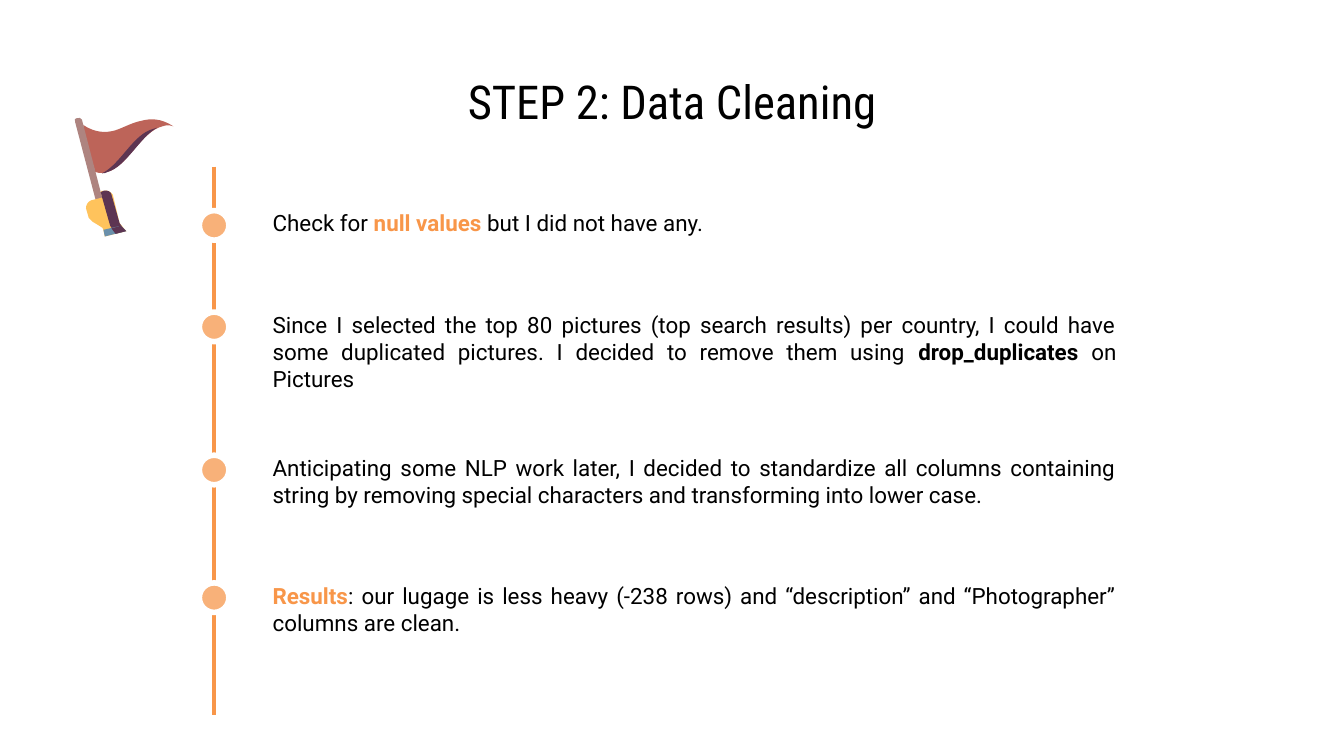
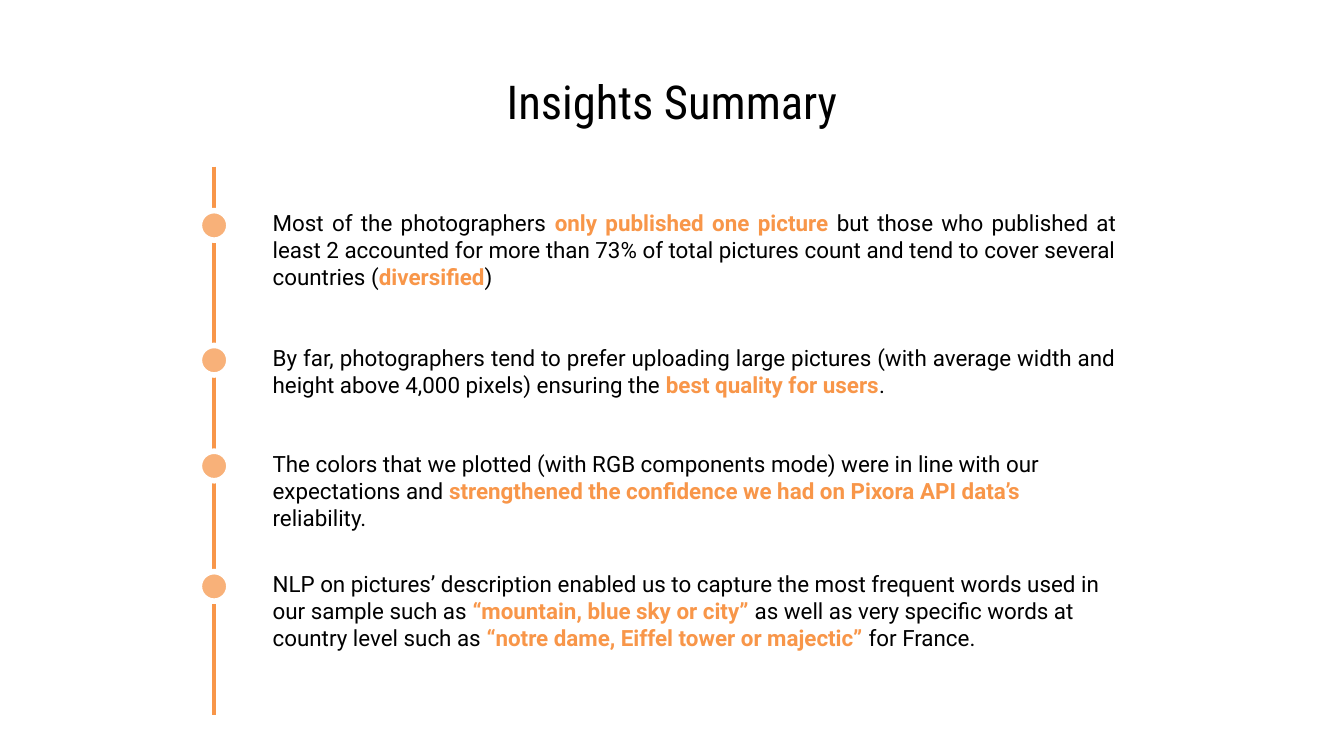
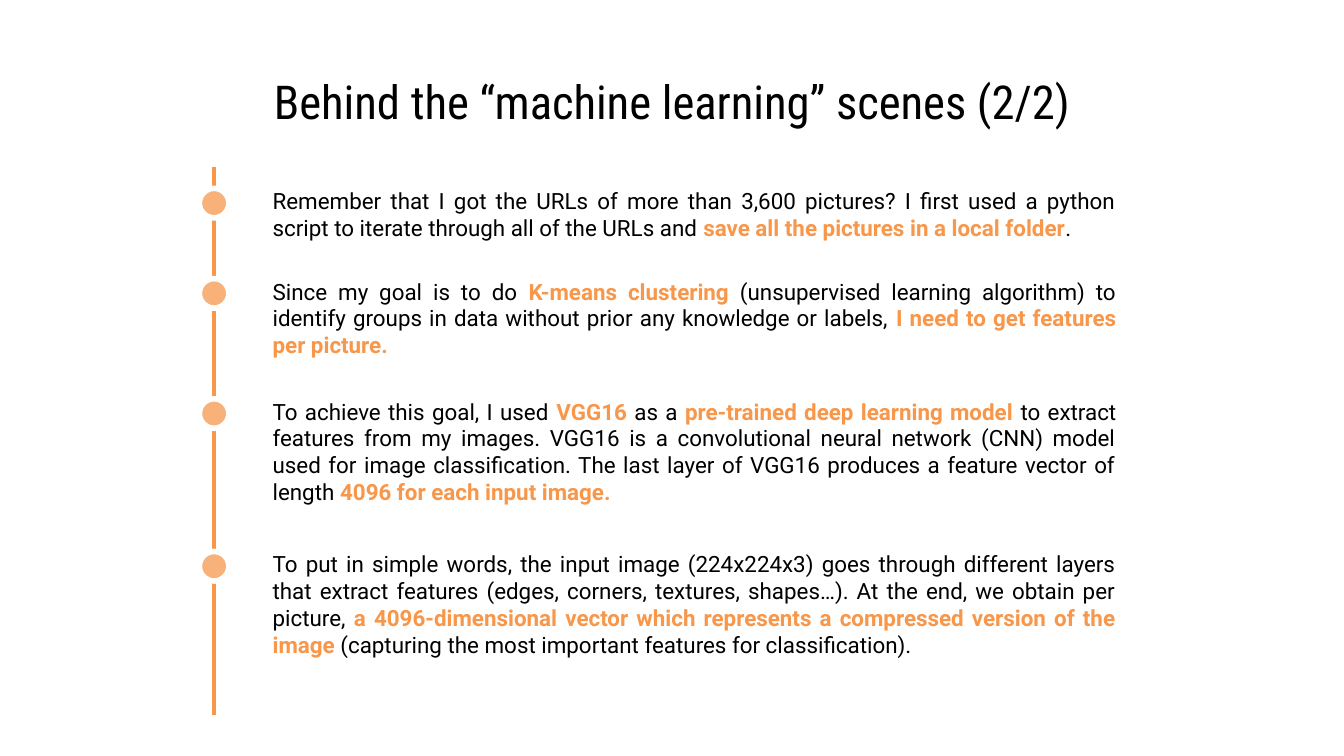
import math
from dataclasses import dataclass
from typing import NamedTuple

import lxml.etree
import pptx
import pptx.dml.color
import pptx.enum.shapes
import pptx.enum.text
import pptx.oxml.ns
import pptx.util
from pptx.dml.color import RGBColor

# Colours and fonts
BLACK = RGBColor(0x00, 0x00, 0x00)
WHITE = RGBColor(0xFF, 0xFF, 0xFF)
ORANGE = RGBColor(0xF8, 0x96, 0x49)
LIGHT_ORANGE = RGBColor(0xF8, 0xB1, 0x79)
RED = RGBColor(0xBD, 0x64, 0x59)
BROWN = RGBColor(0xAE, 0x84, 0x80)
PLUM = RGBColor(0x5D, 0x35, 0x52)
YELLOW = RGBColor(0xFF, 0xC3, 0x5C)
BLUE = RGBColor(0x6A, 0x90, 0xAB)
TITLE_FONT = "Roboto Condensed"
BODY_FONT = "Roboto"

# Grid: 100 columns by 56.25 rows, so that cells are square
WIDTH = pptx.util.Inches(10)
HEIGHT = pptx.util.Inches(5.625)
COLUMN = WIDTH / 100
ROW = HEIGHT / 56.25

TIMELINE_COLUMN = 15.93
TIMELINE_TOP, TIMELINE_BOTTOM = 12.4, 53.2
DOT_SIZE = 2.2
DOT_DROP = 1.07
TEXT_COLUMN, TEXT_WIDTH = 19.3, 64.75
MARGIN = pptx.util.Inches(0.1)
FLAG_TILT = -15

JUSTIFY = pptx.enum.text.PP_ALIGN.JUSTIFY
LEFT = pptx.enum.text.PP_ALIGN.LEFT
CENTER = pptx.enum.text.PP_ALIGN.CENTER

Point = tuple[float, float]


class Run(NamedTuple):
    text: str
    color: RGBColor = BLACK
    bold: bool = False


def key(text: str) -> Run:
    return Run(text, ORANGE, True)


@dataclass
class Step:
    row: float
    runs: list[Run]
    alignment: pptx.enum.text.PP_ALIGN = JUSTIFY
    rows: float = 4.4


@dataclass
class Timeline:
    title: str
    steps: list[Step]
    has_flag: bool = False


class Outline(NamedTuple):
    """Start point, then line ends (x, y) or curves (two handles and an end)."""
    color: RGBColor
    start: Point
    segments: list[tuple[float, ...]]


FLAG = [
    # Cloth, pole and fold
    Outline(RED, (6.2, 9.3), [
        (6.3, 9.9, 6.2, 10.5, 6.4, 11.1), (6.5, 11.7, 7, 12.3, 7.1, 12.8),
        (7.4, 12.9, 7.7, 12.9, 8, 12.8), (9.5, 12.4, 10.5, 9.8, 12.1, 9.4),
        (12.4, 9.3, 12.6, 9.3, 12.9, 9.4), (12, 8.8, 11.2, 8.8, 10.5, 9),
        (9.9, 9.1, 9.2, 9.5, 8.6, 9.7), (7.9, 9.9, 7.1, 9.9, 6.2, 9.3)]),
    Outline(BROWN, (5.7, 8.8), [
        (5.6, 8.8, 5.5, 8.9, 5.6, 9.1), (7.6, 16.7),
        (7.7, 16.9, 7.8, 17, 7.9, 16.9), (8.1, 16.9, 8.2, 16.7, 8.1, 16.6),
        (6.1, 8.9), (6, 8.8, 5.9, 8.7, 5.7, 8.8)]),
    Outline(PLUM, (11.4, 9.6), [
        (9.9, 10, 9, 12.2, 7.6, 12.9), (7.7, 12.9, 7.9, 12.9, 8, 12.8),
        (9.4, 12.4, 10.4, 10.2, 11.7, 9.5), (11.6, 9.5, 11.5, 9.5, 11.4, 9.6)]),
    # Hand and its shade
    Outline(YELLOW, (7.5, 14.2), [
        (7.6, 14.7), (6.8, 14.9), (6.5, 15, 6.4, 15.3, 6.4, 15.5), (6.6, 16.2),
        (6.7, 16.3, 6.8, 16.4, 6.9, 16.5), (7.4, 16.8),
        (7.6, 16.9, 7.7, 17, 7.7, 17.1), (7.8, 17.6), (9.4, 17.2), (8.9, 16.6),
        (8.4, 14.5), (8.3, 14.3, 8, 14.1, 7.7, 14.2)]),
    Outline(PLUM, (7.5, 14.3), [
        (7.6, 14.7), (8.2, 16.8), (8.6, 17.4), (9.3, 17.2), (8.9, 16.6),
        (8.3, 14.5), (8.3, 14.3, 8, 14.1, 7.7, 14.2)]),
    # Cuff and its shade
    Outline(BLUE, (7.7, 17.1), [(7.8, 17.6), (9.4, 17.2), (9, 16.8)]),
    Outline(PLUM, (8.3, 17), [(8.6, 17.4), (9.4, 17.2), (9, 16.8)]),
]

TIMELINES = [
    Timeline("STEP 2: Data Cleaning", [
        Step(14.6, [Run("Check for "), key("null values "),
                    Run("but I did not have any.")]),
        Step(22.15, [
            Run("Since I selected the top 80 pictures (top search results) per "
                "country, I could have some duplicated pictures. I decided to "
                "remove them using "),
            Run("drop_duplicates", bold=True), Run(" on Pictures")]),
        Step(32.8, [
            Run("Anticipating some NLP work later, I decided to standardize all "
                "columns containing string by removing special characters and "
                "transforming into lower case.")]),
        Step(42.3, [
            key("Results"),
            Run(": our lugage is less heavy (-238 rows) and “description” and "
                "“Photographer” columns are clean.")]),
    ], has_flag=True),
    Timeline("Insights Summary", [
        Step(14.6, [
            Run("Most of the photographers "), key("only published one picture "),
            Run("but those who published at least 2 accounted for more than 73% of "
                "total pictures count and tend to cover several countries ("),
            key("diversified"), Run(")")]),
        Step(24.63, [
            Run("By far, photographers tend to prefer uploading large pictures "
                "(with average width and height above 4,000 pixels) ensuring the "),
            key("best quality for users"), Run(".")]),
        Step(32.5, [
            Run("The colors that we plotted (with RGB components mode) were in "
                "line with our expectations and "),
            key("strengthened the confidence we had on Pixora API data’s "),
            Run("reliability.")], LEFT),
        Step(41.46, [
            Run("NLP on pictures’ description enabled us to capture the most "
                "frequent words used in our sample such as "),
            key("“mountain, blue sky or city” "),
            Run("as well as very specific words at country level such as "),
            key("“notre dame, Eiffel tower or majectic”"),
            Run(" for France.")], LEFT),
    ]),
    Timeline("Behind the “machine learning” scenes (2/2)", [
        Step(12.94, [
            Run("Remember that I got the URLs of more than 3,600 pictures? I first "
                "used a python script to iterate through all of the URLs and "),
            key("save all the pictures in a local folder"), Run(".")]),
        Step(19.66, [
            Run("Since my goal is to do "), key("K-means clustering "),
            Run("(unsupervised learning algorithm) to identify groups in data "
                "without prior any knowledge or labels, "),
            key("I need to get features per picture.")]),
        Step(28.6, [
            Run("To achieve this goal, I used "), key("VGG16"), Run(" as a "),
            key("pre-trained deep learning model "),
            Run("to extract features from my images. VGG16 is a convolutional "
                "neural network (CNN) model used for image classification. The "
                "last layer of VGG16 produces a feature vector of length "),
            key("4096 for each input image.")], rows=9.6),
        Step(39.96, [
            Run("To put in simple words, the input image (224x224x3) goes through "
                "different layers that extract features (edges, corners, textures, "
                "shapes…). At the end, we obtain per picture, "),
            key("a 4096-dimensional vector which represents a compressed version "
                "of the image "),
            Run("(capturing the most important features for classification).")],
            rows=9.6),
    ]),
]


def across(columns: float) -> int:
    return round(columns * COLUMN)


def down(rows: float) -> int:
    return round(rows * ROW)


def box(left: float, top: float, columns: float, rows: float) -> tuple[int, ...]:
    return across(left), down(top), across(columns), down(rows)


def write(shape, runs: list[Run], font: str, size: float, alignment, anchor) -> None:
    frame = shape.text_frame
    frame.word_wrap = True
    frame.auto_size = pptx.enum.text.MSO_AUTO_SIZE.NONE
    frame.vertical_anchor = anchor
    frame.margin_left = frame.margin_right = MARGIN
    frame.margin_top = frame.margin_bottom = MARGIN
    paragraph = frame.paragraphs[0]
    paragraph.alignment = alignment
    for item in runs:
        run = paragraph.add_run()
        run.text = item.text
        run.font.name = font
        run.font.size = pptx.util.Pt(size)
        run.font.bold = item.bold
        run.font.color.rgb = item.color


def add_title(slide, text: str) -> None:
    title = slide.shapes.title
    title.left, title.top, title.width, title.height = box(5, 4.9, 90, 5.7)
    write(title, [Run(text)], TITLE_FONT, 25, CENTER,
          pptx.enum.text.MSO_ANCHOR.BOTTOM)


def add_timeline_line(slide) -> None:
    line = slide.shapes.add_connector(
        pptx.enum.shapes.MSO_CONNECTOR.STRAIGHT,
        across(TIMELINE_COLUMN), down(TIMELINE_TOP),
        across(TIMELINE_COLUMN), down(TIMELINE_BOTTOM))
    line.line.color.rgb = ORANGE
    line.line.width = pptx.util.Pt(2.25)
    lxml.etree.SubElement(line.element.spPr, pptx.oxml.ns.qn("a:effectLst"))


def add_step(slide, step: Step) -> None:
    group = slide.shapes.add_group_shape()
    text_box = group.shapes.add_textbox(
        *box(TEXT_COLUMN, step.row, TEXT_WIDTH, step.rows))
    write(text_box, step.runs, BODY_FONT, 12, step.alignment,
          pptx.enum.text.MSO_ANCHOR.TOP)
    dot = group.shapes.add_shape(
        pptx.enum.shapes.MSO_SHAPE.OVAL,
        *box(TIMELINE_COLUMN - DOT_SIZE / 2, step.row + DOT_DROP,
             DOT_SIZE, DOT_SIZE))
    dot.shadow.inherit = False
    dot.fill.solid()
    dot.fill.fore_color.rgb = LIGHT_ORANGE
    dot.line.color.rgb = WHITE
    dot.line.width = pptx.util.Pt(3)


def turn(point: Point, pivot: Point, degrees: float) -> Point:
    """Turn a point clockwise about a pivot."""
    sine, cosine = math.sin(math.radians(degrees)), math.cos(math.radians(degrees))
    x, y = point[0] - pivot[0], point[1] - pivot[1]
    return pivot[0] + x * cosine - y * sine, pivot[1] + x * sine + y * cosine


def bend(shape, segments: list[tuple[float, ...]]) -> None:
    """Join the three lines through each curve's handles into one curve."""
    lines = iter(list(shape.element.iter(pptx.oxml.ns.qn("a:lnTo"))))
    for segment in segments:
        first = next(lines)
        if len(segment) == 2:
            continue
        curve = lxml.etree.Element(pptx.oxml.ns.qn("a:cubicBezTo"))
        first.addprevious(curve)
        for line in (first, next(lines), next(lines)):
            curve.append(line[0])
            line.getparent().remove(line)


def add_flag(slide) -> None:
    group = slide.shapes.add_group_shape()
    for outline in FLAG:
        # Draw the part upright, then tilt it back into its place
        pivot = (across(outline.start[0]), down(outline.start[1]))
        points = [
            turn((across(x), down(y)), pivot, -FLAG_TILT)
            for segment in outline.segments
            for x, y in zip(segment[::2], segment[1::2])]
        builder = group.shapes.build_freeform(*pivot)
        builder.add_line_segments(points, close=True)
        part = builder.convert_to_shape()
        bend(part, outline.segments)
        center = (part.left + part.width / 2, part.top + part.height / 2)
        x, y = turn(center, pivot, FLAG_TILT)
        part.left = round(x - part.width / 2)
        part.top = round(y - part.height / 2)
        part.rotation = FLAG_TILT
        part.shadow.inherit = False
        part.fill.solid()
        part.fill.fore_color.rgb = outline.color
        part.line.fill.background()


def add_timeline_slide(presentation, timeline: Timeline) -> None:
    title_only = presentation.slide_layouts.get_by_name("Title Only")
    slide = presentation.slides.add_slide(title_only)
    add_title(slide, timeline.title)
    add_timeline_line(slide)
    for step in timeline.steps:
        add_step(slide, step)
    if timeline.has_flag:
        add_flag(slide)


def main() -> None:
    presentation = pptx.Presentation()
    presentation.slide_width = WIDTH
    presentation.slide_height = HEIGHT
    for timeline in TIMELINES:
        add_timeline_slide(presentation, timeline)
    presentation.save("out.pptx")


if __name__ == "__main__":
    main()
